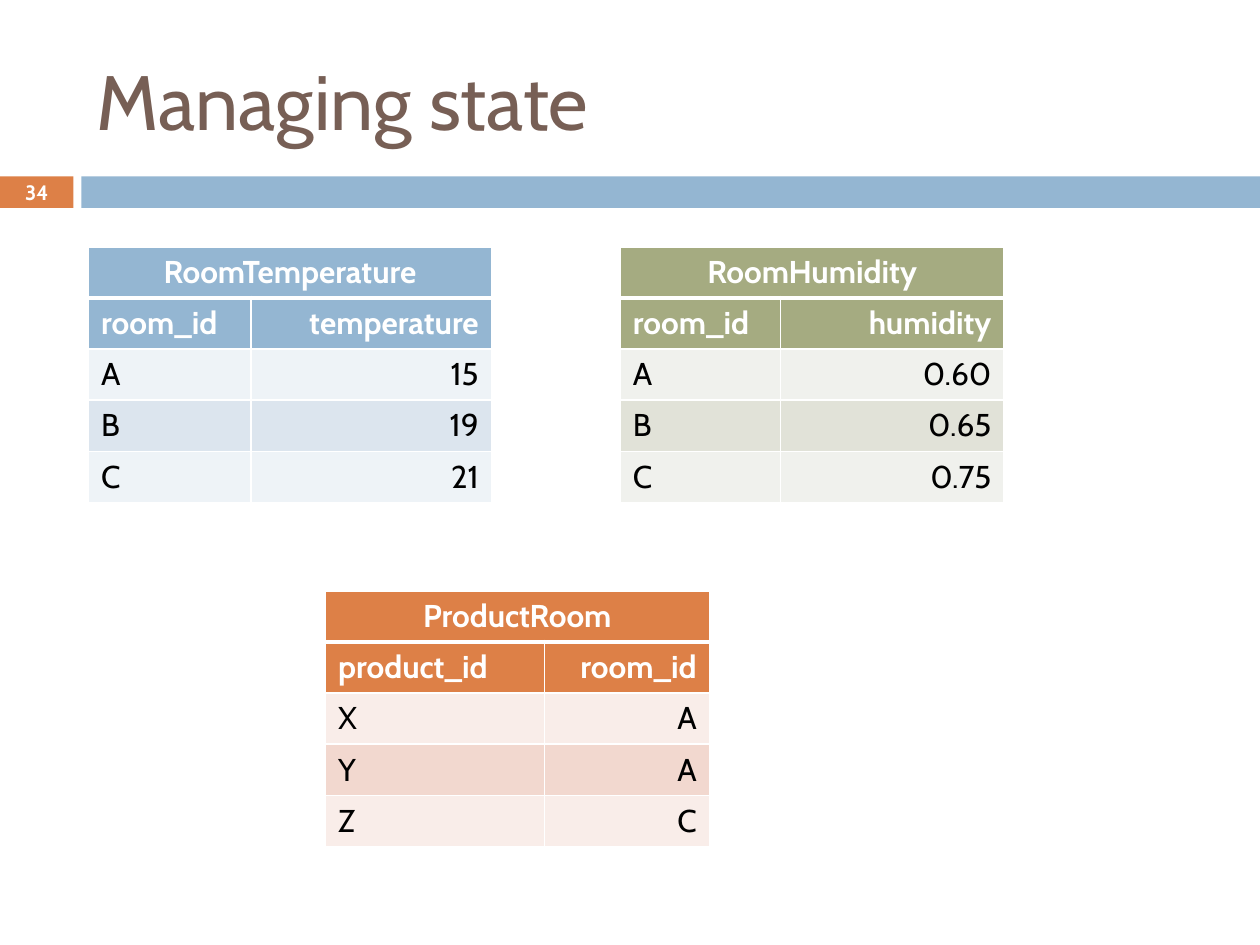
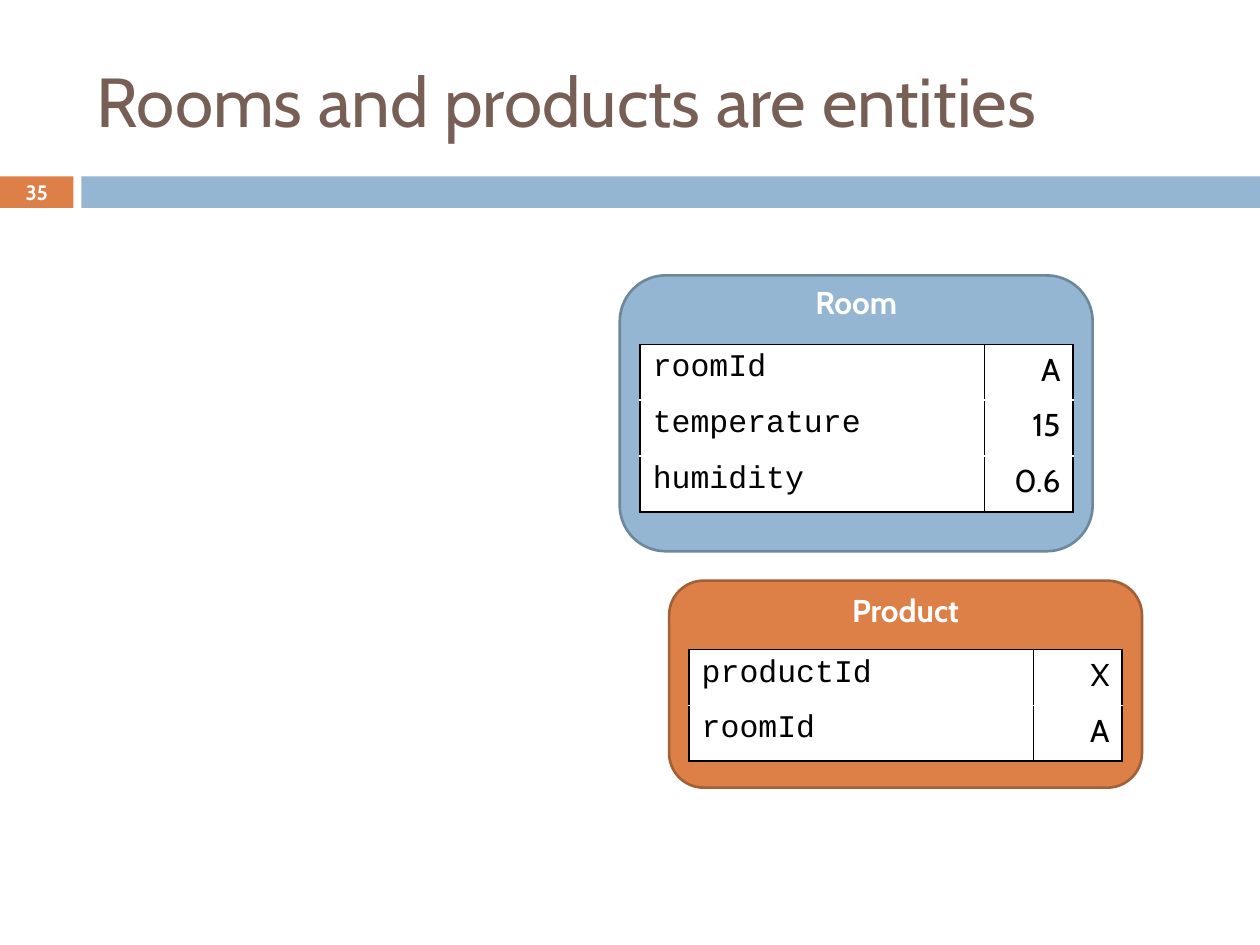
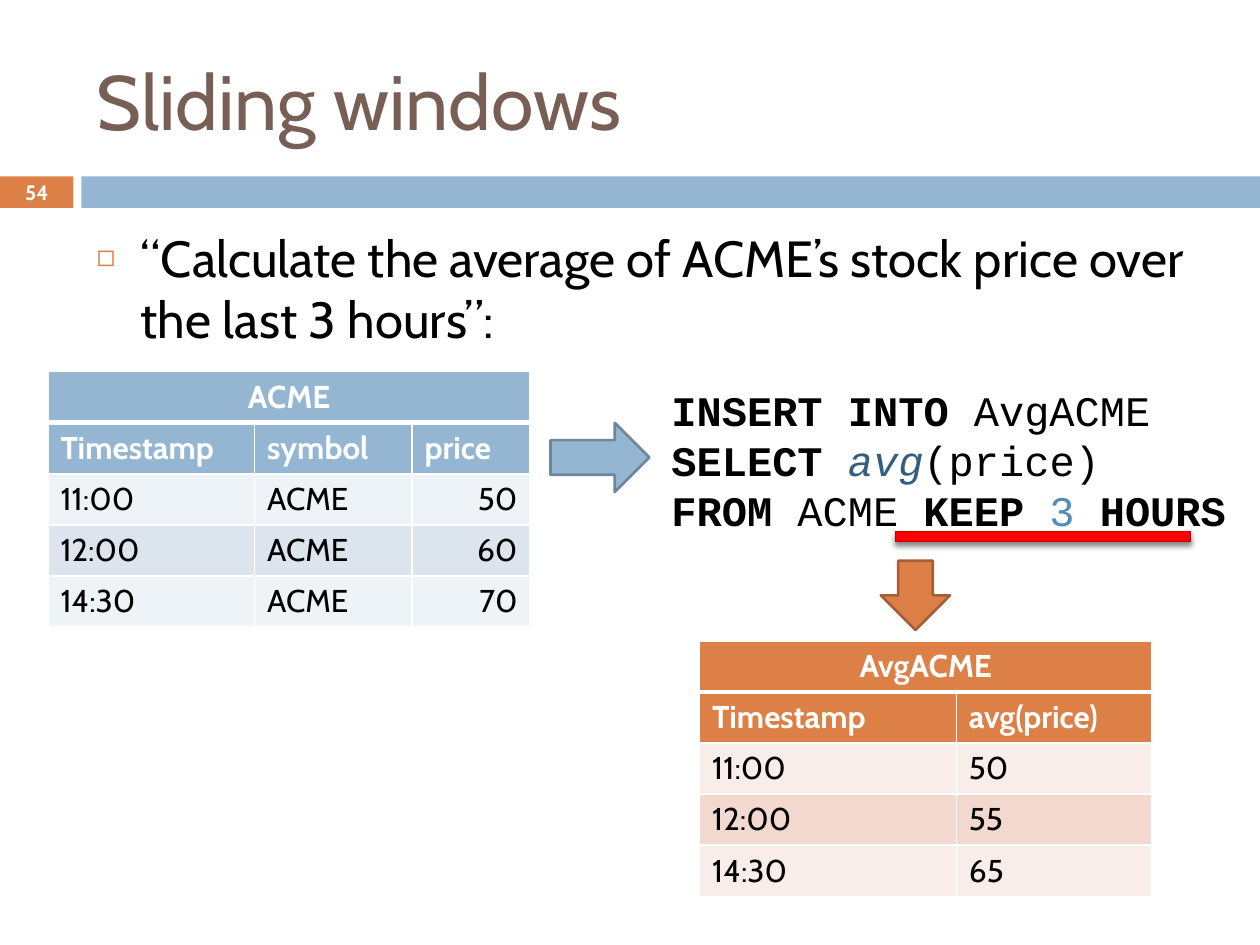
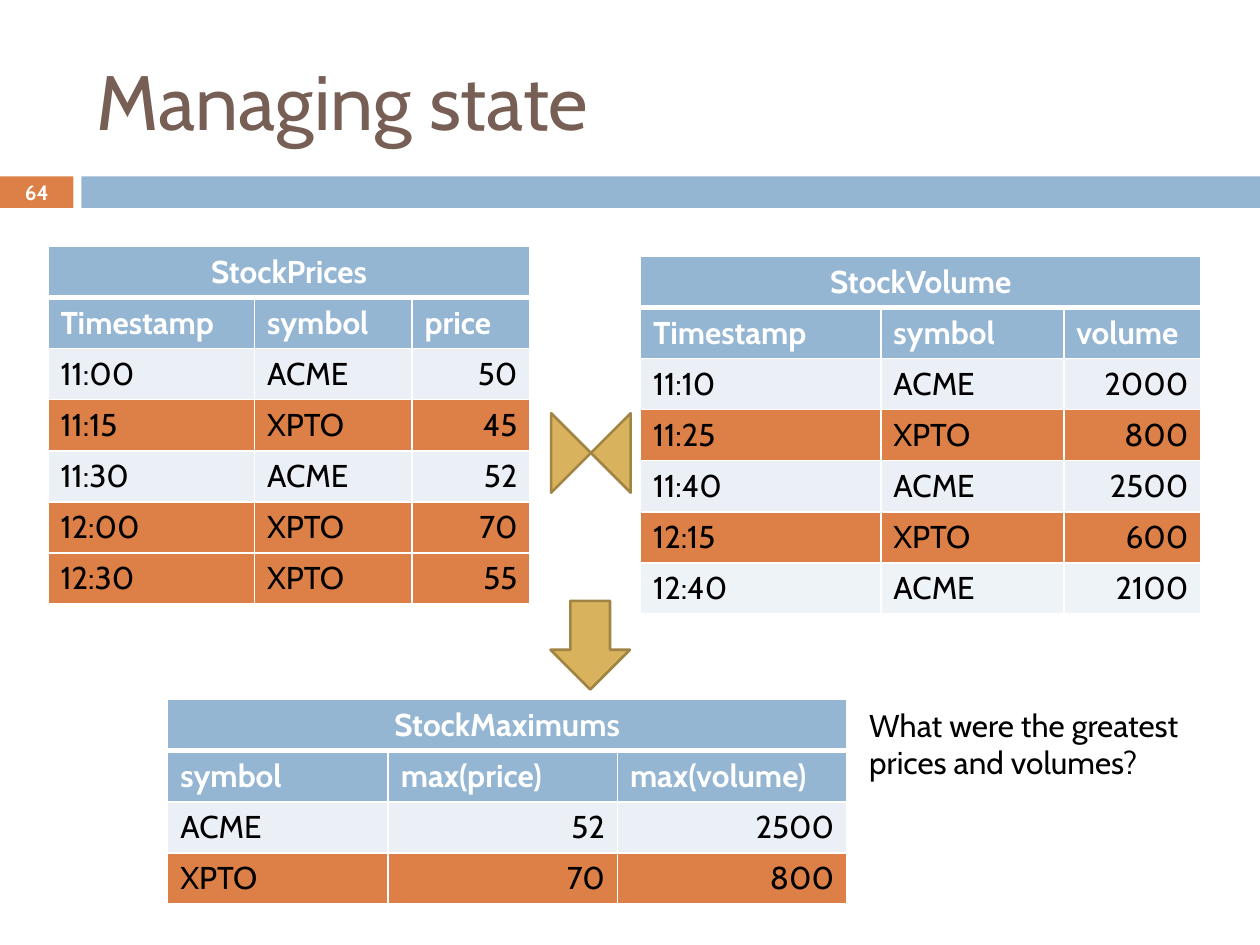
"""Build four slides on tables, entities and sliding windows over state."""
import pptx
import pptx.util
import pptx.oxml
import pptx.oxml.ns
import pptx.dml.color
import pptx.enum.shapes
import pptx.enum.text

Pt = pptx.util.Pt
RGB = pptx.dml.color.RGBColor.from_string
Kind = pptx.enum.shapes.MSO_SHAPE
Align = pptx.enum.text.PP_ALIGN
Anchor = pptx.enum.text.MSO_ANCHOR
NS = pptx.oxml.ns.nsdecls("a")

HEX = {
    "white": "FFFFFF", "black": "000000", "brown": "775F55",
    "blue": "94B6D2", "ice": "EEF3F7", "sky": "DCE5EE", "mist": "EAF0F6",
    "orange": "DD8047", "blush": "F9EDE9", "peach": "F2D8CF",
    "green": "A5AB81", "pale": "F0F1ED", "sage": "E1E2D8",
    "gold": "D8B25C", "red": "FF0000", "navy": "355D7E", "steel": "558BB8",
    "blue rim": "6D879B", "orange rim": "A35F35",
    "gold rim": "A08444", "red rim": "C00000",
}
SIDE = {"l": Align.LEFT, "r": Align.RIGHT, "c": Align.CENTER}


def put(para, text, color="black", **form):
    run = para.add_run()
    run.text = text
    run.font.color.rgb = RGB(HEX[color])
    for key, value in ({"name": "Cabin", "size": Pt(18), "bold": False} | form).items():
        setattr(run.font, key, value)


def grid(slide, left, top, cols, text, fills, head="", body="lr", high=29.2):
    rows = [line.split() for line in text.split("|")]
    fills = fills.split()
    table = slide.shapes.add_table(
        len(rows), len(cols), Pt(left), Pt(top), Pt(sum(cols)), Pt(high * len(rows))).table
    table.first_row = table.horz_banding = False
    for col, width in zip(table.columns, cols):
        col.width = Pt(width)
    if head:
        table.cell(0, 0).merge(table.cell(0, len(cols) - 1))
    for i, row in enumerate(rows):
        table.rows[i].height = Pt(high)
        for j in range(len(cols)):
            cell = table.cell(i, j)
            cell.fill.solid()
            cell.fill.fore_color.rgb = RGB(HEX[fills[i]])
            if head:
                edge, sides = "white", {"L": 1, "R": 1, "T": 3 if i == 1 else 1, "B": 1 if i else 3}
            else:
                edge, sides = "black", {"L": 1, "R": 1, "T": i == 0, "B": i == len(rows) - 1}
            lines = [(side, width) for side, width in sides.items() if width]
            for n, (side, width) in enumerate(lines):
                cell.fill._xPr.insert(n, pptx.oxml.parse_xml(
                    f'<a:ln{side} {NS} w="{Pt(width)}"><a:solidFill>'
                    f'<a:srgbClr val="{HEX[edge]}"/></a:solidFill></a:ln{side}>'))
            if j >= len(row):
                continue
            para = cell.text_frame.paragraphs[0]
            top_row = bool(head) and i < 2
            para.alignment = SIDE["c" if head and i == 0 else head[j] if top_row else body[j]]
            put(para, row[j], "white" if top_row else "black", bold=top_row,
                name="Cabin" if head or j else "Courier New")


deck = pptx.Presentation()
deck.slide_width, deck.slide_height = Pt(720), Pt(540)

slides = []
for title, size, number, layout in [
    ("Managing state", 44, "34", 5),
    ("Rooms and products are entities", 39.6, "35", 5),
    ("Sliding windows", 44, "54", 1),
    ("Managing state", 44, "64", 5),
]:
    slide = deck.slides.add_slide(deck.slide_layouts[layout])
    slides.append(slide)
    name = slide.shapes.title
    for key, value in {"left": 48, "top": 18, "width": 642, "height": 78}.items():
        setattr(name, key, Pt(value))
    frame = name.text_frame
    frame.auto_size = pptx.enum.text.MSO_AUTO_SIZE.NONE
    frame.vertical_anchor = Anchor.MIDDLE
    frame.paragraphs[0].alignment = Align.LEFT
    put(frame.paragraphs[0], title, "brown", size=Pt(size))

    frame = slide.shapes.add_textbox(Pt(0), Pt(100), Pt(42), Pt(19.6)).text_frame
    for key in ("margin_left", "margin_right", "margin_top", "margin_bottom"):
        setattr(frame, key, 0)
    frame.word_wrap = True
    frame.vertical_anchor = Anchor.MIDDLE
    frame.paragraphs[0].alignment = Align.CENTER
    put(frame.paragraphs[0], number, "white", size=Pt(11.9), bold=True)

state, things, window, stocks = slides

body = window.placeholders[1]
for key, value in {"left": 48, "top": 126, "width": 642, "height": 354}.items():
    setattr(body, key, Pt(value))
body.text_frame.auto_size = pptx.enum.text.MSO_AUTO_SIZE.NONE
para = body.text_frame.paragraphs[0]
para.space_before = Pt(7)
put(para, "“Calculate the average of ACME’s stock price over the last 3 hours”:", size=Pt(29))
props = para._p.get_or_add_pPr()
props.set("marL", str(Pt(25.2)))
props.set("indent", str(-Pt(25.2)))
for mark in (
    f'<a:buClr {NS}><a:srgbClr val="{HEX["orange"]}"/></a:buClr>',
    f'<a:buSzPct {NS} val="60000"/>',
    f'<a:buChar {NS} char="◻"/>',
):
    props.append(pptx.oxml.parse_xml(mark))

bold = {"bold": True}
code = [
    [("INSERT INTO ", bold), ("AvgACME", {})],
    [("SELECT ", bold), ("avg", {"color": "navy", "italic": True}), ("(price)", {})],
    [("FROM", bold), (" ACME ", {}), ("KEEP ", bold), ("3 ", {"color": "steel"}), ("HOURS", bold)],
]
frame = window.shapes.add_textbox(Pt(376.6), Pt(185), Pt(343.4), Pt(152.6)).text_frame
frame.word_wrap = True
frame.margin_top = Pt(34.7)
for i, line in enumerate(code):
    para = frame.add_paragraph() if i else frame.paragraphs[0]
    para.line_spacing = Pt(28.6)
    for text, form in line:
        put(para, text, name="Courier New", size=Pt(24), **form)

frame = stocks.shapes.add_textbox(Pt(489.6), Pt(399.6), Pt(208), Pt(51)).text_frame
frame.word_wrap = True
put(frame.paragraphs[0], "What were the greatest prices and volumes?")

join = stocks.shapes.add_group_shape()
drawn = []
for host, kind, left, top, width, height, turn, fill, rim in [
    (state, Kind.RECTANGLE, 0, 100.8, 42, 18, 0, "orange", 0),
    (state, Kind.RECTANGLE, 46.5, 100.8, 673.5, 18, 0, "blue", 0),
    (things, Kind.ROUNDED_RECTANGLE, 354.2, 157.4, 270.2, 157.6, 0, "blue", 1.5),
    (things, Kind.ROUNDED_RECTANGLE, 382.4, 331.8, 270.2, 118.3, 0, "orange", 1.5),
    (window, Kind.RIGHT_ARROW, 314.6, 241.6, 56.5, 39.6, 0, "blue", 1.5),
    (window, Kind.RIGHT_ARROW, 503.3, 320.4, 39.6, 39.6, 90, "orange", 1.5),
    (window, Kind.RECTANGLE, 511.6, 303.8, 168.8, 5.8, 0, "red", 0.79),
    (join, Kind.ISOSCELES_TRIANGLE, 303.6, 247.5, 45.4, 22.7, 90, "gold", 1.5),
    (join, Kind.ISOSCELES_TRIANGLE, 326.3, 247.5, 45.4, 22.7, 270, "gold", 1.5),
    (stocks, Kind.DOWN_ARROW, 314.6, 343.4, 45.4, 50.6, 0, "gold", 1.5),
]:
    shape = host.shapes.add_shape(kind, Pt(left), Pt(top), Pt(width), Pt(height))
    shape.shadow.inherit = False
    shape.rotation = turn
    shape.fill.solid()
    shape.fill.fore_color.rgb = RGB(HEX[fill])
    if rim:
        shape.line.width = Pt(rim)
        shape.line.color.rgb = RGB(HEX[fill + " rim"])
    else:
        shape.line.fill.background()
    drawn.append(shape)

for band in drawn[:2]:
    deck.slide_master.shapes.element.append(band.element)

for box, text, gap in zip(drawn[2:4], ("Room", "Product"), (0, 3.6)):
    frame = box.text_frame
    frame.vertical_anchor = Anchor.TOP
    frame.margin_top = Pt(gap)
    para = frame.paragraphs[0]
    para.alignment = Align.CENTER
    para.line_spacing = Pt(18)
    put(para, text, "white", bold=True)

drawn[6].element.spPr.xpath("a:effectLst")[0].append(pptx.oxml.parse_xml(
    f'<a:outerShdw {NS} blurRad="{Pt(3)}" dist="{Pt(2.4)}" dir="5400000" rotWithShape="0">'
    f'<a:srgbClr val="{HEX["black"]}"><a:alpha val="45000"/></a:srgbClr></a:outerShdw>'))

grid(state, 50.6, 141.1, (92.9, 137.3),
     "RoomTemperature|room_id temperature|A 15|B 19|C 21",
     "blue blue ice sky ice", "lr")
grid(state, 186, 337.7, (125.1, 94.2),
     "ProductRoom|product_id room_id|X A|Y A|Z C",
     "orange orange blush peach blush", "lr")
grid(state, 354.5, 141.1, (91.6, 127.7),
     "RoomHumidity|room_id humidity|A 0.60|B 0.65|C 0.75",
     "green green pale sage pale", "lr")

pair = (196.8, 50.6)
grid(things, 365.8, 196.8, pair, "roomId A|temperature 15|humidity 0.6",
     "white white white", high=31.9)
grid(things, 393.8, 371.2, pair, "productId X|roomId A", "white white", high=31.9)

trio = (118, 90, 67.5)
grid(window, 27.4, 212.4, trio,
     "ACME|Timestamp symbol price|11:00 ACME 50|12:00 ACME 60|14:30 ACME 70",
     "blue blue ice sky ice", "lll", "llr")
grid(window, 399.8, 366.2, (146.7, 111.6),
     "AvgACME|Timestamp avg(price)|11:00 50|12:00 55|14:30 65",
     "orange orange blush peach blush", "ll", "ll")

grid(stocks, 27.4, 140.8, trio,
     "StockPrices|Timestamp symbol price|11:00 ACME 50|11:15 XPTO 45"
     "|11:30 ACME 52|12:00 XPTO 70|12:30 XPTO 55",
     "blue blue mist orange mist orange orange", "lll", "llr")
grid(stocks, 366, 146.5, (137.3, 104.6, 78.4),
     "StockVolume|Timestamp symbol volume|11:10 ACME 2000|11:25 XPTO 800"
     "|11:40 ACME 2500|12:15 XPTO 600|12:40 ACME 2100",
     "blue blue mist orange mist orange ice", "lll", "llr")
grid(stocks, 95.8, 399.8, (126, 131, 131),
     "StockMaximums|symbol max(price) max(volume)|ACME 52 2500|XPTO 70 800",
     "blue blue mist orange", "lll", "lrr")

deck.save("out.pptx")
